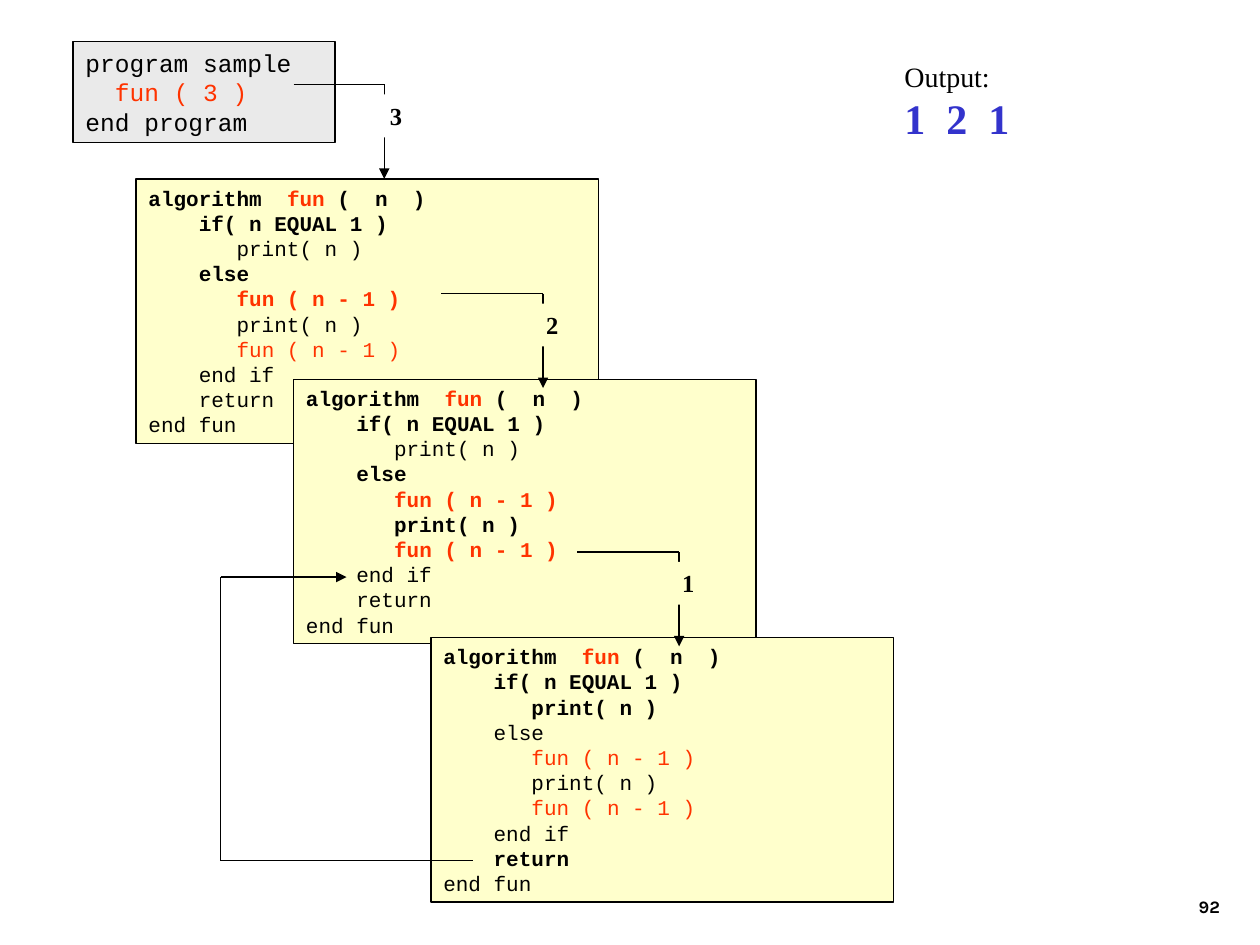
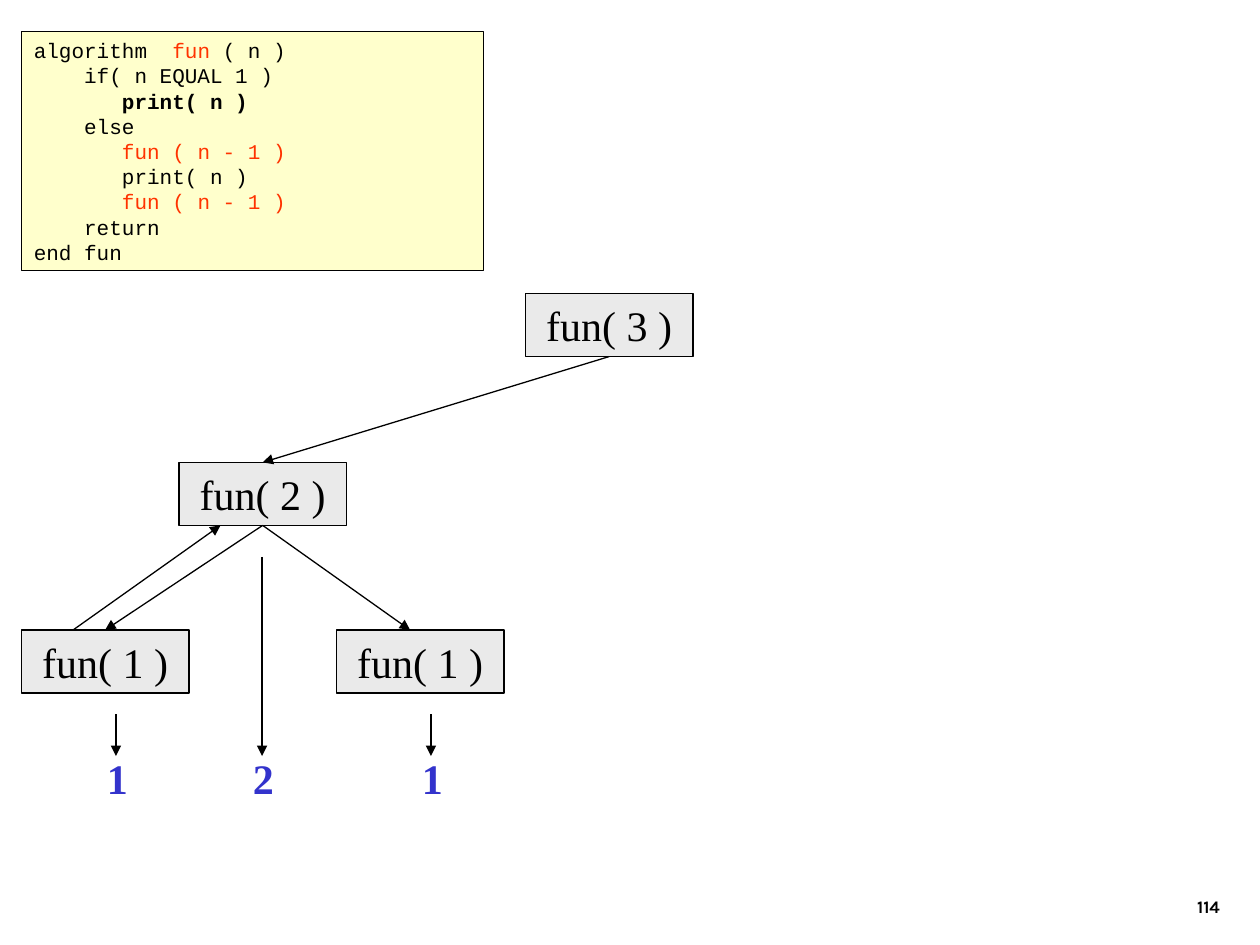
from dataclasses import dataclass

from lxml import etree
from pptx import Presentation
from pptx.dml.color import RGBColor
from pptx.enum import shapes, text
from pptx.oxml import ns
from pptx.util import Inches, Pt


@dataclass(frozen=True)
class Theme:
    black: str = "000000"
    red: str = "FF3300"
    blue: str = "3333CC"
    yellow: str = "FFFFCC"
    grey: str = "EAEAEA"
    white: str = "FFFFFF"
    code_font: str = "Courier New"
    text_font: str = "Times New Roman"
    number_font: str = "Karla"
    number_size: int = 10
    code_size: int = 12
    label_size: int = 14
    caption_size: int = 16
    result_size: int = 24
    line_width: float = 0.75


THEME = Theme()
CODE = dict(font=THEME.code_font, size=THEME.code_size)
PROGRAM_STYLE = dict(font=THEME.code_font, size=THEME.label_size)
LABEL = dict(font=THEME.text_font, size=THEME.label_size, bold=True)
CAPTION = dict(font=THEME.text_font, size=THEME.caption_size)
NODE = dict(font=THEME.text_font, size=THEME.result_size)
RESULT = dict(NODE, bold=True, color=THEME.blue)
NUMBER = dict(font=THEME.number_font, size=THEME.number_size, bold=True)

# Content: text between bars is red
PROGRAM = ["program sample", "  |fun ( 3 )|", "end program"]
ALGORITHM = [
    "algorithm  |fun |(  n  )",
    "    if( n EQUAL 1 )",
    "       print( n )",
    "    else",
    "       |fun ( n - 1 )|",
    "       print( n )",
    "       |fun ( n - 1 )|",
    "    end if",
    "    return",
    "end fun",
]
SHORT_ALGORITHM = ["algorithm  |fun |( n )", *ALGORITHM[1:7], *ALGORITHM[8:]]

# Stack frames: left, top, executed (bold) lines
FRAMES = [
    (1.08, 1.42, {0, 1, 3, 4}),
    (2.33, 3.01, {0, 1, 3, 4, 5, 6}),
    (3.42, 5.06, {0, 1, 2, 8}),
]
# Calls: argument, start x, corner x, y, label left, label width, label fill
CALLS = [
    ("3", 2.33, 3.05, 0.67, 2.9, 0.39, THEME.white),
    ("2", 3.5, 4.31, 2.33, 4.09, 0.44, THEME.yellow),
    ("1", 4.58, 5.39, 4.38, 5.17, 0.44, THEME.yellow),
]
RETURN_ROUTE = [(3.75, 6.83), (1.75, 6.83), (1.75, 4.58), (2.75, 4.58)]

# Call tree: name -> text, left, top
NODES = {
    "root": ("fun( 3 )", 4.17, 2.33),
    "middle": ("fun( 2 )", 1.42, 3.67),
    "left": ("fun( 1 )", 0.17, 5),
    "right": ("fun( 1 )", 2.67, 5),
}
EDGES = [("root", "middle"), ("middle", "left"), ("middle", "right")]
# Printed values: text, centre x, arrow start y
PRINTED = [("1", 0.92, 5.67), ("2", 2.08, 4.42), ("1", 3.42, 5.67)]

FRAME_WIDTH, NODE_WIDTH, NODE_HEIGHT = 3.67, 1.33, 0.5


# Drawing helpers
def write(paragraph, line, font, size, bold=False, color=THEME.black):
    for index, part in enumerate(line.split("|")):
        if part:
            run = paragraph.add_run()
            run.text = part
            run.font.color.rgb = RGBColor.from_string(THEME.red if index % 2 else color)
            values = {"name": font, "size": Pt(size), "bold": bold}
            for name, value in values.items():
                setattr(run.font, name, value)


def add_box(slide, bounds, lines, fill=None, outlined=False,
            align=text.PP_ALIGN.LEFT, anchor=text.MSO_ANCHOR.TOP, wrap=True):
    """Lines are (text, style) pairs; without a fill the box is a text box."""
    bounds = [Inches(value) for value in bounds]
    if fill:
        shape = slide.shapes.add_shape(shapes.MSO_SHAPE.RECTANGLE, *bounds)
        shape.shadow.inherit = False
        shape.fill.solid()
        shape.fill.fore_color.rgb = RGBColor.from_string(fill)
        if outlined:
            style_line(shape.line)
        else:
            shape.line.fill.background()
    else:
        shape = slide.shapes.add_textbox(*bounds)
    frame = shape.text_frame
    frame.word_wrap = wrap
    frame.vertical_anchor = anchor
    for index, (line, style) in enumerate(lines):
        paragraph = frame.add_paragraph() if index else frame.paragraphs[0]
        paragraph.alignment = align
        write(paragraph, line, **style)


def style_line(line):
    line.color.rgb = RGBColor.from_string(THEME.black)
    line.width = Pt(THEME.line_width)


def add_route(slide, points):
    """Join the points with straight lines and put an arrowhead on the last."""
    for start, end in zip(points, points[1:]):
        connector = slide.shapes.add_connector(
            shapes.MSO_CONNECTOR.STRAIGHT, *[Inches(value) for value in (*start, *end)])
        style_line(connector.line)
        if end == points[-1]:
            etree.SubElement(connector.line._get_or_add_ln(), ns.qn("a:tailEnd"), type="triangle")
        properties = connector._element.spPr
        etree.SubElement(properties, ns.qn("a:effectLst"))


def add_listing(slide, left, top, height, lines, bold_lines):
    styled = [(line, dict(CODE, bold=index in bold_lines)) for index, line in enumerate(lines)]
    add_box(slide, (left, top, FRAME_WIDTH, height), styled, THEME.yellow, outlined=True)


def add_call(slide, argument, start, corner, y, label_left, label_width, fill):
    add_route(slide, [(start, y), (corner, y), (corner, y + 0.75)])
    add_box(slide, (label_left, y + 0.08, label_width, 0.34), [(argument, LABEL)],
            fill, align=text.PP_ALIGN.RIGHT)


def new_slide(presentation, number):
    slide = presentation.slides.add_slide(presentation.slide_layouts[6])
    add_box(slide, (7.7, 6.83, 2.08, 0.5), [(number, NUMBER)],
            align=text.PP_ALIGN.RIGHT, anchor=text.MSO_ANCHOR.BOTTOM)
    return slide


# Slides
def build_call_stack(presentation):
    slide = new_slide(presentation, "92")
    add_box(slide, (0.58, 0.33, 2.08, 0.8), [(line, PROGRAM_STYLE) for line in PROGRAM],
            THEME.grey, outlined=True)
    add_box(slide, (7.08, 0.42, 2.42, 0.77), [("Output:", CAPTION), ("1  2  1", RESULT)])
    for left, top, bold_lines in FRAMES[:2]:
        add_listing(slide, left, top, 2.1, ALGORITHM, bold_lines)
    for call in CALLS[:2]:
        add_call(slide, *call)
    left, top, bold_lines = FRAMES[2]
    add_listing(slide, left, top, 2.1, ALGORITHM, bold_lines)
    add_call(slide, *CALLS[2])
    add_route(slide, RETURN_ROUTE)


def build_call_tree(presentation):
    slide = new_slide(presentation, "114")
    add_listing(slide, 0.17, 0.25, 1.9, SHORT_ALGORITHM, {2})
    for label, left, top in NODES.values():
        add_box(slide, (left, top, NODE_WIDTH, NODE_HEIGHT), [(label, NODE)], THEME.grey,
                outlined=True, align=text.PP_ALIGN.CENTER,
                anchor=text.MSO_ANCHOR.MIDDLE, wrap=False)
    for parent, child in EDGES:
        (_, parent_left, parent_top), (_, child_left, child_top) = NODES[parent], NODES[child]
        # The right-hand call ends slightly left of its node's centre
        shift = 0.08 if child == "right" else 0
        add_route(slide, [(parent_left + NODE_WIDTH / 2, parent_top + NODE_HEIGHT),
                          (child_left + NODE_WIDTH / 2 - shift, child_top)])
    add_route(slide, [(0.58, 5), (1.75, 4.17)])
    for value, center, start in PRINTED:
        add_route(slide, [(center, start), (center, 6)])
        add_box(slide, (center - 0.17, 5.92, 0.33, 0.5), [(value, RESULT)])


def main():
    presentation = Presentation()
    presentation.slide_width, presentation.slide_height = Inches(10), Inches(7.5)
    build_call_stack(presentation)
    build_call_tree(presentation)
    presentation.save("out.pptx")


if __name__ == "__main__":
    main()
